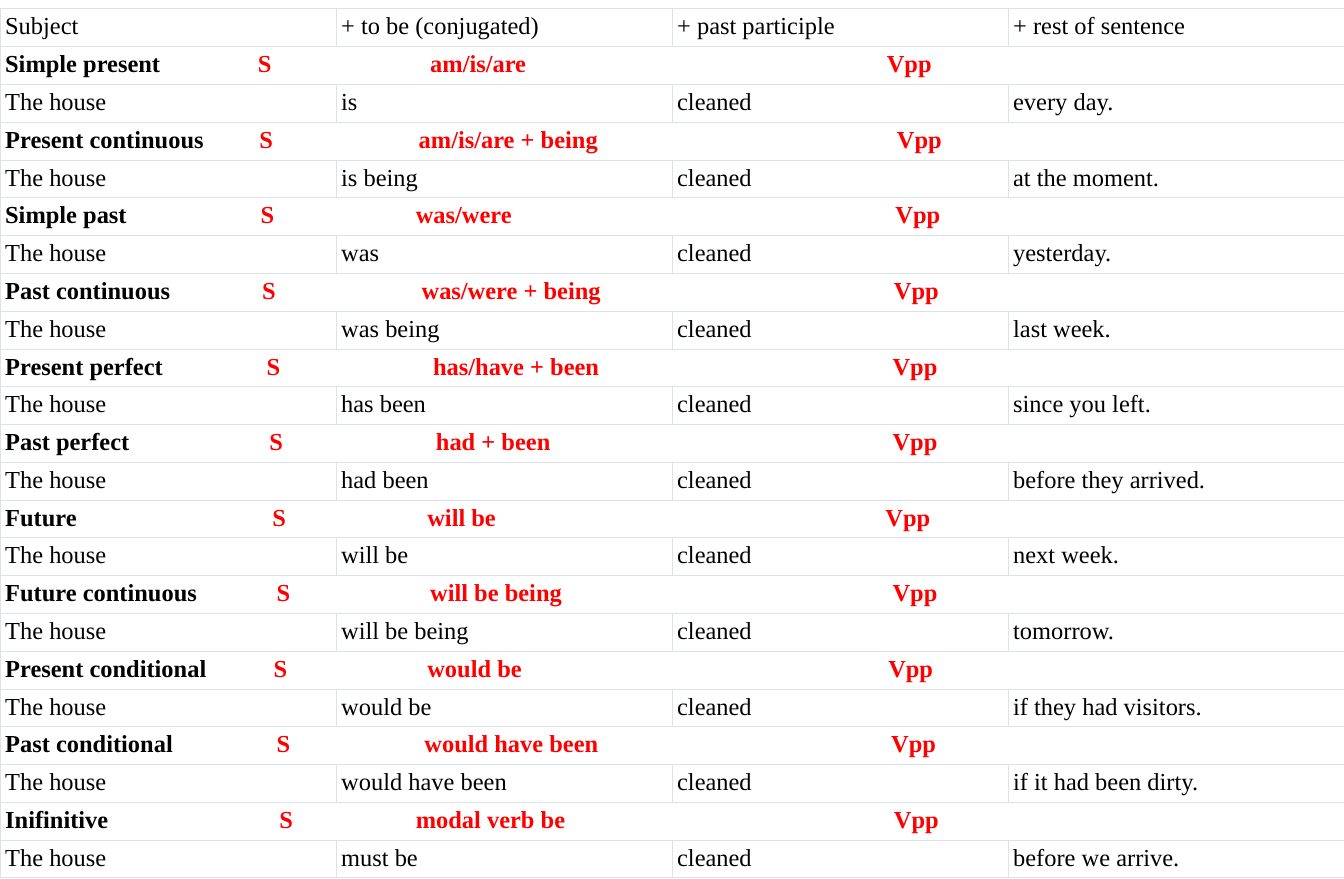
from dataclasses import dataclass

from lxml.etree import SubElement
from pptx import Presentation
from pptx.dml.color import RGBColor
from pptx.oxml.ns import qn
from pptx.util import Pt


@dataclass(frozen=True)
class Theme:
    font: str = "Times New Roman"
    size: Pt = Pt(17)
    ink: RGBColor = RGBColor(0, 0, 0)
    accent: RGBColor = RGBColor(255, 0, 0)
    border: RGBColor = RGBColor(0xDB, 0xE3, 0xE8)
    border_width: Pt = Pt(0.75)


THEME = Theme()
SLIDE_WIDTH, SLIDE_HEIGHT = Pt(936), Pt(612)
TABLE_TOP, ROW_HEIGHT = Pt(6.25), Pt(26.33)
INSET_X, INSET_Y = Pt(3.6), Pt(2.88)

HEADINGS = ("Subject", "+ to be (conjugated)", "+ past participle", "+ rest of sentence")
SUBJECT, PARTICIPLE = "The house", "cleaned"
# Tense, formula verb, tab stops of the formula, example verb, rest of sentence
TENSES = (
    ("Simple present", "am/is/are", (176, 296, 614), "is", "every day."),
    ("Present continuous", "am/is/are + being", (177, 288, 621), "is being", "at the moment."),
    ("Simple past", "was/were", (178, 286, 620), "was", "yesterday."),
    ("Past continuous", "was/were + being", (179, 290, 619), "was being", "last week."),
    ("Present perfect", "has/have + been", (182, 298, 618), "has been", "since you left."),
    ("Past perfect", "had + been", (184, 300, 618), "had been", "before they arrived."),
    ("Future", "will be", (186, 294, 613), "will be", "next week."),
    ("Future continuous", "will be being", (189, 296, 618), "will be being", "tomorrow."),
    ("Present conditional", "would be", (187, 294, 615), "would be", "if they had visitors."),
    ("Past conditional", "would have been", (189, 292, 617), "would have been", "if it had been dirty."),
    ("Inifinitive", "modal verb be", (191, 286, 619), "must be", "before we arrive."),
)


def format_run(run, color, bold=False):
    """Apply the theme's lettering to a run."""
    run.font.name = THEME.font
    run.font.size = THEME.size
    run.font.bold = bold
    run.font.color.rgb = color


def style_cell(cell):
    """Give a cell its insets, thin borders and no fill."""
    cell.margin_left = cell.margin_right = INSET_X
    cell.margin_top = cell.margin_bottom = INSET_Y
    properties = cell._tc.get_or_add_tcPr()
    for side in ("a:lnL", "a:lnR", "a:lnT", "a:lnB"):
        edge = SubElement(properties, qn(side), w=str(THEME.border_width))
        paint = SubElement(edge, qn("a:solidFill"))
        SubElement(paint, qn("a:srgbClr"), val=str(THEME.border))
    cell.fill.background()


def set_tab_stops(paragraph, stops):
    """Add left tab stops, given in points, to a paragraph."""
    tab_list = SubElement(paragraph._p.get_or_add_pPr(), qn("a:tabLst"))
    for stop in stops:
        SubElement(tab_list, qn("a:tab"), pos=str(Pt(stop)), algn="l")


def fill_row(row, words):
    """Write one plain text into each cell of a row."""
    for cell, word in zip(row.cells, words):
        cell.text_frame.text = word
        format_run(cell.text_frame.paragraphs[0].runs[0], THEME.ink)


def fill_formula(row, tense, verb, stops):
    """Merge a row and write the tense with its formula."""
    first, *_, last = row.cells
    first.merge(last)
    paragraph = first.text_frame.paragraphs[0]
    set_tab_stops(paragraph, stops)
    paragraph.text = tense
    format_run(paragraph.runs[0], THEME.ink, bold=True)
    formula = paragraph.add_run()
    formula.text = f"\tS\t{verb}\tVpp"
    format_run(formula, THEME.accent, bold=True)


def add_grid(slide):
    """Add the empty, bordered table and return it."""
    row_count = 1 + 2 * len(TENSES)
    grid = slide.shapes.add_table(
        row_count, len(HEADINGS), Pt(0), TABLE_TOP, SLIDE_WIDTH, ROW_HEIGHT * row_count
    ).table
    grid.first_row = grid.horz_banding = False
    for row in grid.rows:
        row.height = ROW_HEIGHT
    for cell in grid.iter_cells():
        style_cell(cell)
    return grid


def main():
    """Build the slide of passive tenses."""
    deck = Presentation()
    deck.slide_width, deck.slide_height = SLIDE_WIDTH, SLIDE_HEIGHT
    slide = deck.slides.add_slide(deck.slide_layouts[6])
    rows = add_grid(slide).rows
    fill_row(rows[0], HEADINGS)
    for index, (tense, formula, stops, verb, rest) in enumerate(TENSES):
        fill_formula(rows[2 * index + 1], tense, formula, stops)
        fill_row(rows[2 * index + 2], (SUBJECT, verb, PARTICIPLE, rest))
    deck.save("out.pptx")


if __name__ == "__main__":
    main()
